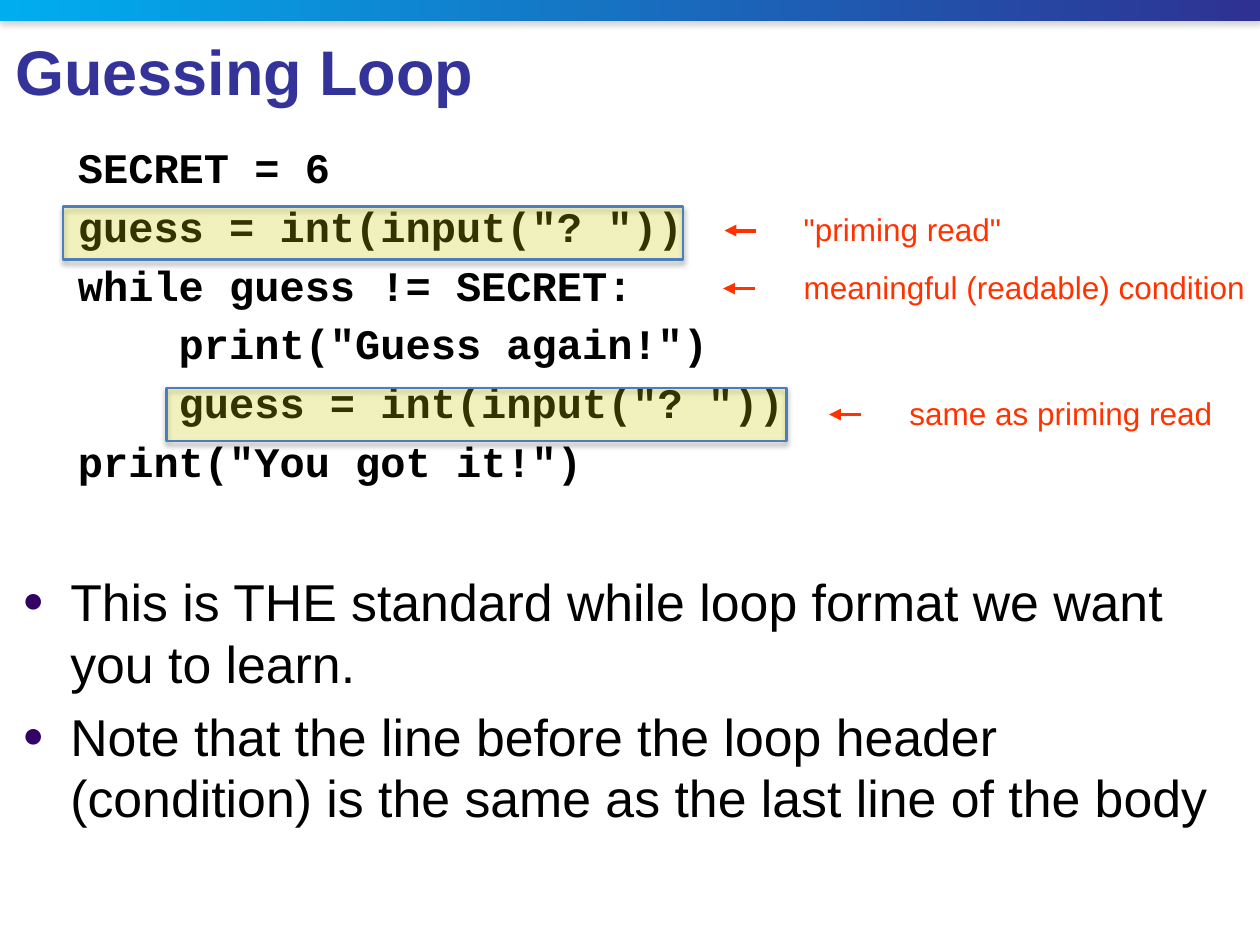
from lxml import etree
from pptx import Presentation
from pptx.dml.color import RGBColor
from pptx.enum import shapes, text
from pptx.oxml.ns import qn
from pptx.util import Inches, Pt

# Content
TITLE = "Guessing Loop"
CODE = [
    "SECRET = 6",
    'guess = int(input("? "))',
    "while guess != SECRET:",
    '    print("Guess again!")',
    '    guess = int(input("? "))',
    'print("You got it!")',
]
POINTS = [
    "This is THE standard while loop format we want you to learn.",
    "Note that the line before the loop header (condition) is the same as the "
    "last line of the body",
]
# label, arrow tip x, arrow y, label x, label width
NOTES = [
    ('"priming read"', 5.75, 1.83, 6.28, 1.78),
    ("same as priming read", 6.58, 3.29, 7.12, 2.63),
    ("meaningful (readable) condition", 5.74, 2.29, 6.28, 3.72),
]
HIGHLIGHTS = [(0.5, 1.64), (1.32, 3.08)]  # left, top of each repeated read
HIGHLIGHT_SIZE = (4.92, 0.42)
ARROW_LENGTH = 0.25
LABEL_HEIGHT = 0.4


class Theme:
    sans, mono = "Arial", "Courier New"
    title, body, note = "333399", "000000", "FF3300"
    bar = ("00AEEF", "2E3192")
    bullet, mark, edge = "330066", "FFFF00", "4B7EBC"
    title_size, code_size, point_size, note_size = 36, 24, 29.6, 18


def add_xml(parent, tag, **attributes):
    return etree.SubElement(parent, qn(tag), **attributes)


def style(para, face, size, colour, bold=False):
    font = para.font
    font.name, font.size, font.bold = face, Pt(size), bold
    font.color.rgb = RGBColor.from_string(colour)


def add_shadow(shape, colour):
    effects = add_xml(shape._element.spPr, "a:effectLst")
    shadow = add_xml(effects, "a:outerShdw", blurRad=str(Pt(3.1)),
                     dist=str(Pt(1.8)), dir="5400000", rotWithShape="0")
    add_xml(add_xml(shadow, "a:srgbClr", val=colour), "a:alpha", val="35000")


def add_bullet(para):
    props = para._p.get_or_add_pPr()
    props.set("marL", str(Inches(0.38)))
    props.set("indent", str(-Inches(0.38)))
    add_xml(add_xml(props, "a:buClr"), "a:srgbClr", val=Theme.bullet)
    add_xml(props, "a:buSzPct", val="70000")
    add_xml(props, "a:buFont", typeface=Theme.sans)
    add_xml(props, "a:buChar", char="●")


def add_rectangle(page, left, top, width, height):
    return page.shapes.add_shape(
        shapes.MSO_SHAPE.RECTANGLE,
        Inches(left), Inches(top), Inches(width), Inches(height))


def add_top_bar(page):
    bar = add_rectangle(page, 0, 0, 10, 0.17)
    bar.fill.gradient()
    bar.fill.gradient_angle = 0
    for stop, colour, position in zip(bar.fill.gradient_stops, Theme.bar, (0, 1)):
        stop.color.rgb = RGBColor.from_string(colour)
        stop.position = position
    bar.line.fill.background()
    add_shadow(bar, "808080")


def add_title(page):
    box = page.shapes.title
    box.left, box.top = Inches(0.02), Inches(0.21)
    box.width, box.height = Inches(9.38), Inches(0.54)
    frame = box.text_frame
    frame.text = TITLE
    frame.auto_size = text.MSO_AUTO_SIZE.NONE
    frame.vertical_anchor = text.MSO_ANCHOR.TOP
    frame.margin_left, frame.margin_top = Inches(0.1), Inches(0.05)
    para = frame.paragraphs[0]
    para.alignment = text.PP_ALIGN.LEFT
    style(para, Theme.sans, Theme.title_size, Theme.title, True)


def add_body(page):
    box = page.shapes.add_textbox(
        Inches(0.08), Inches(1.07), Inches(9.77), Inches(5.78))
    frame = box.text_frame
    frame.word_wrap = True
    for index, line in enumerate(CODE):
        para = frame.add_paragraph() if index else frame.paragraphs[0]
        para.text = line
        para._p.get_or_add_pPr().set("marL", str(Inches(0.44)))
        if index:
            para.space_before = Pt(4.9)
        style(para, Theme.mono, Theme.code_size, Theme.body, True)
    for index, point in enumerate(POINTS):
        para = frame.add_paragraph()
        para.text = point
        add_bullet(para)
        para.line_spacing = Pt(35.4)
        para.space_before = Pt(6.3 if index else 47.5)
        style(para, Theme.sans, Theme.point_size, Theme.body)


def add_note(page, label, tip, y, left, width):
    arrow = page.shapes.add_connector(
        shapes.MSO_CONNECTOR.STRAIGHT,
        Inches(tip + ARROW_LENGTH), Inches(y), Inches(tip), Inches(y))
    arrow.line.color.rgb = RGBColor.from_string(Theme.note)
    arrow.line.width = Pt(2.25)
    add_xml(arrow.line._get_or_add_ln(), "a:tailEnd", type="triangle")
    add_xml(arrow._element.spPr, "a:effectLst")

    box = page.shapes.add_textbox(
        Inches(left), Inches(y - 0.21), Inches(width), Inches(LABEL_HEIGHT))
    frame = box.text_frame
    frame.word_wrap = False
    frame.auto_size = text.MSO_AUTO_SIZE.SHAPE_TO_FIT_TEXT
    frame.text = label
    style(frame.paragraphs[0], Theme.sans, Theme.note_size, Theme.note)


def add_highlight(page, left, top):
    mark = add_rectangle(page, left, top, *HIGHLIGHT_SIZE)
    mark.fill.solid()
    mark.fill.fore_color.rgb = RGBColor.from_string(Theme.mark)
    colour = mark._element.spPr.find(qn("a:solidFill")).find(qn("a:srgbClr"))
    add_xml(colour, "a:alpha", val="20000")
    mark.line.color.rgb = RGBColor.from_string(Theme.edge)
    mark.line.width = Pt(1.5)
    add_shadow(mark, "000000")


def main():
    deck = Presentation()
    deck.slide_width, deck.slide_height = Inches(10), Inches(7.5)
    page = deck.slides.add_slide(deck.slide_layouts[5])
    add_top_bar(page)
    add_title(page)
    add_body(page)
    for note in NOTES:
        add_note(page, *note)
    for corner in HIGHLIGHTS:
        add_highlight(page, *corner)
    deck.save("out.pptx")


if __name__ == "__main__":
    main()
